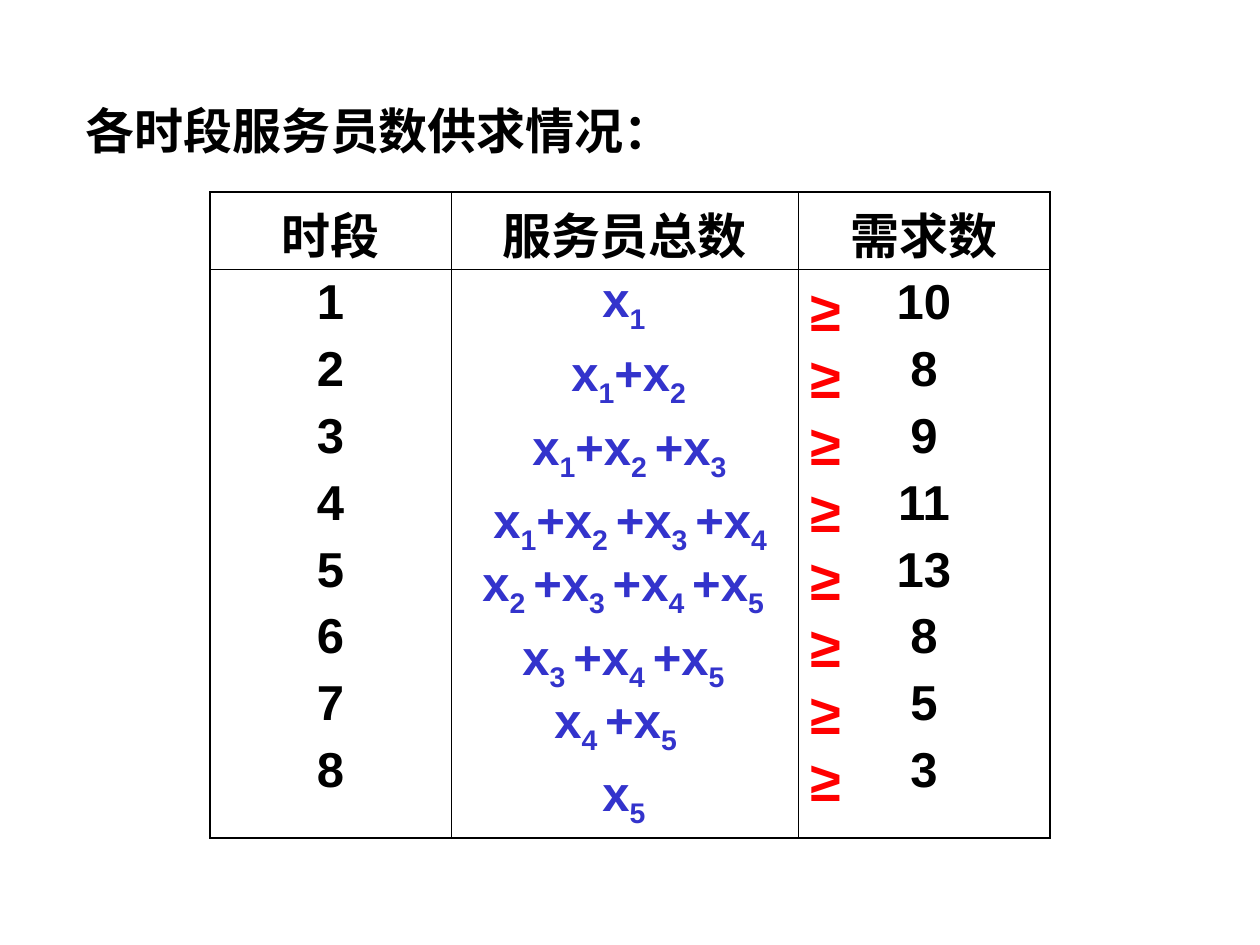
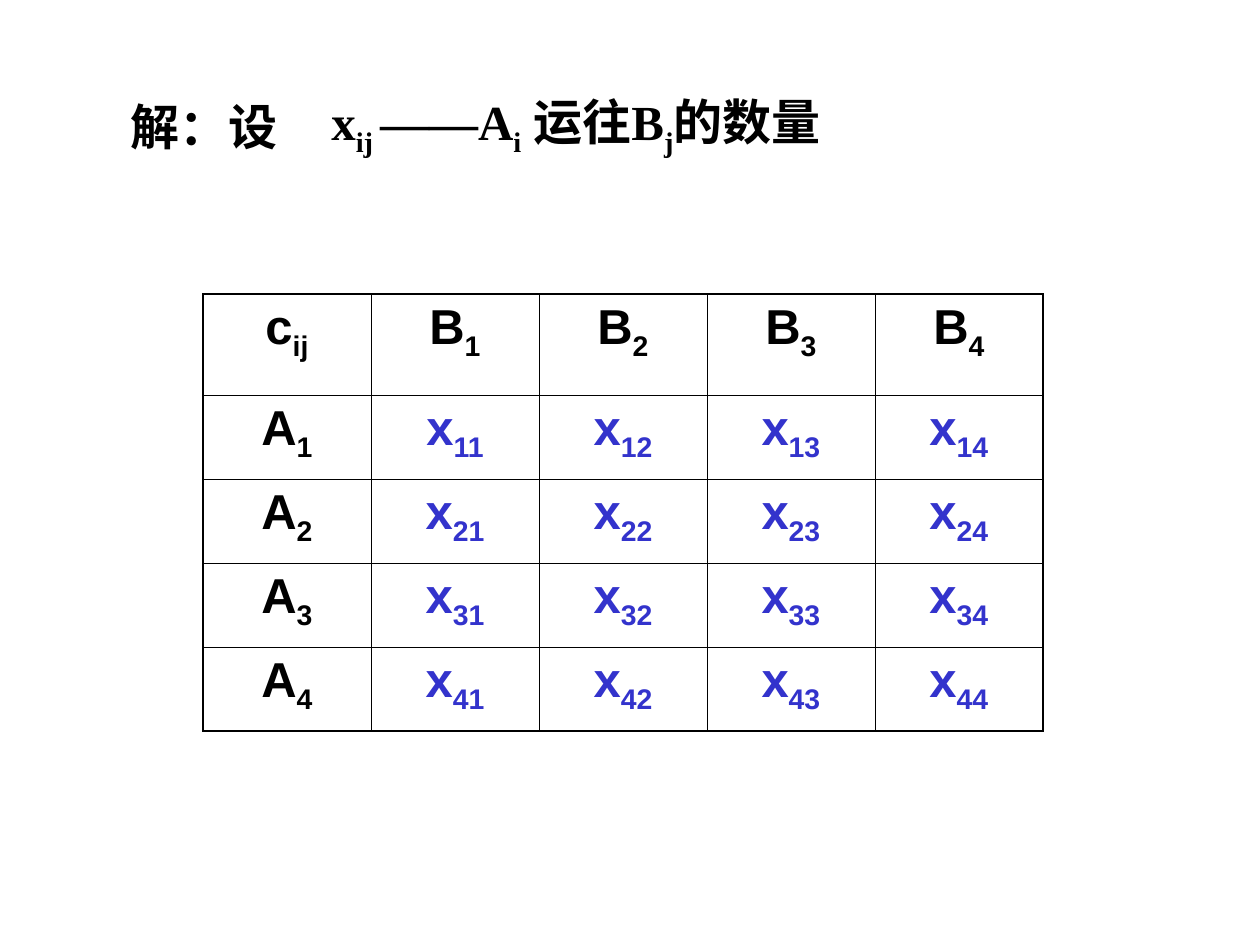
from pptx import Presentation, util as u
from pptx.dml.color import RGBColor
from pptx.enum import text as t
from pptx.oxml.ns import qn
from lxml import etree

PX = u.Inches(1) // 126  # one px in EMU
COL = {"ink": "000000", "var": "3333CC", "sign": "FF0000"}
SERIF, SANS = "Times New Roman", "Arial"
THIN, THICK = 0.45, 1.08


def px(*vals):
    return [u.Emu(v * PX) for v in vals]


# Text: "|" switches between base line and subscript
def put(para, line, col="ink", face=SANS, size=28):
    for i, part in enumerate(line.split("|")):
        if not part:
            continue
        run = para.add_run()
        run.text = part
        font = run.font
        font.name, font.size, font.bold = face, u.Pt(size), True
        font.color.rgb = RGBColor.from_string(COL[col])
        if i % 2:
            font._element.set("baseline", "-25000")


def fill(frame, lines, align=None, gap=0, **look):
    for i, line in enumerate(lines):
        para = frame.paragraphs[0] if i == 0 else frame.add_paragraph()
        para.alignment = align
        para.space_before = u.Pt(gap if i else 0)
        put(para, line, **look)


def box(slide, area, lines, wrap=False, **look):
    frame = slide.shapes.add_textbox(*px(*area)).text_frame
    frame.word_wrap = wrap
    fill(frame, lines, **look)


# Tables: thick outer frame, thin inner lines
def edge(cell, side, width):
    props = cell._tc.get_or_add_tcPr()
    line = etree.SubElement(props, qn("a:ln" + side), w=str(u.Pt(width)))
    solid = etree.SubElement(line, qn("a:solidFill"))
    etree.SubElement(solid, qn("a:srgbClr"), val=COL["ink"])


def grid(slide, left, top, cols, rows):
    area = px(left, top, sum(cols), sum(rows))
    table = slide.shapes.add_table(len(rows), len(cols), *area).table
    table.first_row = table.horz_banding = False
    for col, wide in zip(table.columns, cols):
        col.width = px(wide)[0]
    for row, high in zip(table.rows, rows):
        row.height = px(high)[0]
    for r in range(len(rows)):
        for c in range(len(cols)):
            cell = table.cell(r, c)
            outer = {"L": c == 0, "R": c == len(cols) - 1,
                     "T": r == 0, "B": r == len(rows) - 1}
            for side, out in outer.items():
                edge(cell, side, THICK if out else THIN)
            cell.fill.background()
    return table


def write(cell, lines, **look):
    fill(cell.text_frame, lines, t.PP_ALIGN.CENTER, 7, **look)


# Slide 1: supply and demand of staff
HEADS = ["时段", "服务员总数", "需求数"]
NEEDS = [10, 8, 9, 11, 13, 8, 5, 3]
SUMS = [  # left, top, width, formula
    (590, 262, 74, "x|1"),
    (559, 336, 146, "x|1|+x|2"),
    (520, 410, 225, "x|1|+x|2 |+x|3"),
    (481, 483, 305, "x|1|+x|2 |+x|3 |+x|4"),
    (470, 546, 312, "x|2 |+x|3 |+x|4 |+x|5"),
    (510, 620, 233, "x|3 |+x|4 |+x|5"),
    (542, 683, 153, "x|4 |+x|5"),
    (590, 756, 74, "x|5"),
]


def staff(slide):
    box(slide, (73, 94, 1144, 72), ["各时段服务员数供求情况："], True, face=SERIF)
    table = grid(slide, 210, 192, [241, 347, 252], [77, 569])
    for c, head in enumerate(HEADS):
        cell = table.cell(0, c)
        cell.vertical_anchor = t.MSO_ANCHOR.BOTTOM
        write(cell, [head], face=SERIF)
    write(table.cell(1, 0), [str(n + 1) for n in range(len(NEEDS))])
    write(table.cell(1, 2), [str(n) for n in NEEDS])
    for left, top, wide, line in SUMS:
        box(slide, (left, top, wide, 79), [line], col="var")
    box(slide, (798, 269, 94, 551), ["≥"] * len(NEEDS), True, col="sign", size=32)


# Slide 2: transport variables
def freight(slide):
    box(slide, (118, 90, 200, 72), ["解：设"], face=SERIF)
    box(slide, (319, 85, 570, 79), ["x|ij |——A|i| 运往B|j|的数量"], face=SERIF)
    size = 5
    table = grid(slide, 203, 294, [168] * size, [101] + [84] * (size - 1))
    write(table.cell(0, 0), ["c|ij"])
    for r in range(1, size):
        write(table.cell(0, r), [f"B|{r}"])
        write(table.cell(r, 0), [f"A|{r}"])
        for c in range(1, size):
            write(table.cell(r, c), [f"x|{r}{c}"], col="var")


def main():
    deck = Presentation()
    deck.slide_width, deck.slide_height = px(1260, 945)
    for build in (staff, freight):
        build(deck.slides.add_slide(deck.slide_layouts[6]))
    deck.save("out.pptx")


if __name__ == "__main__":
    main()
